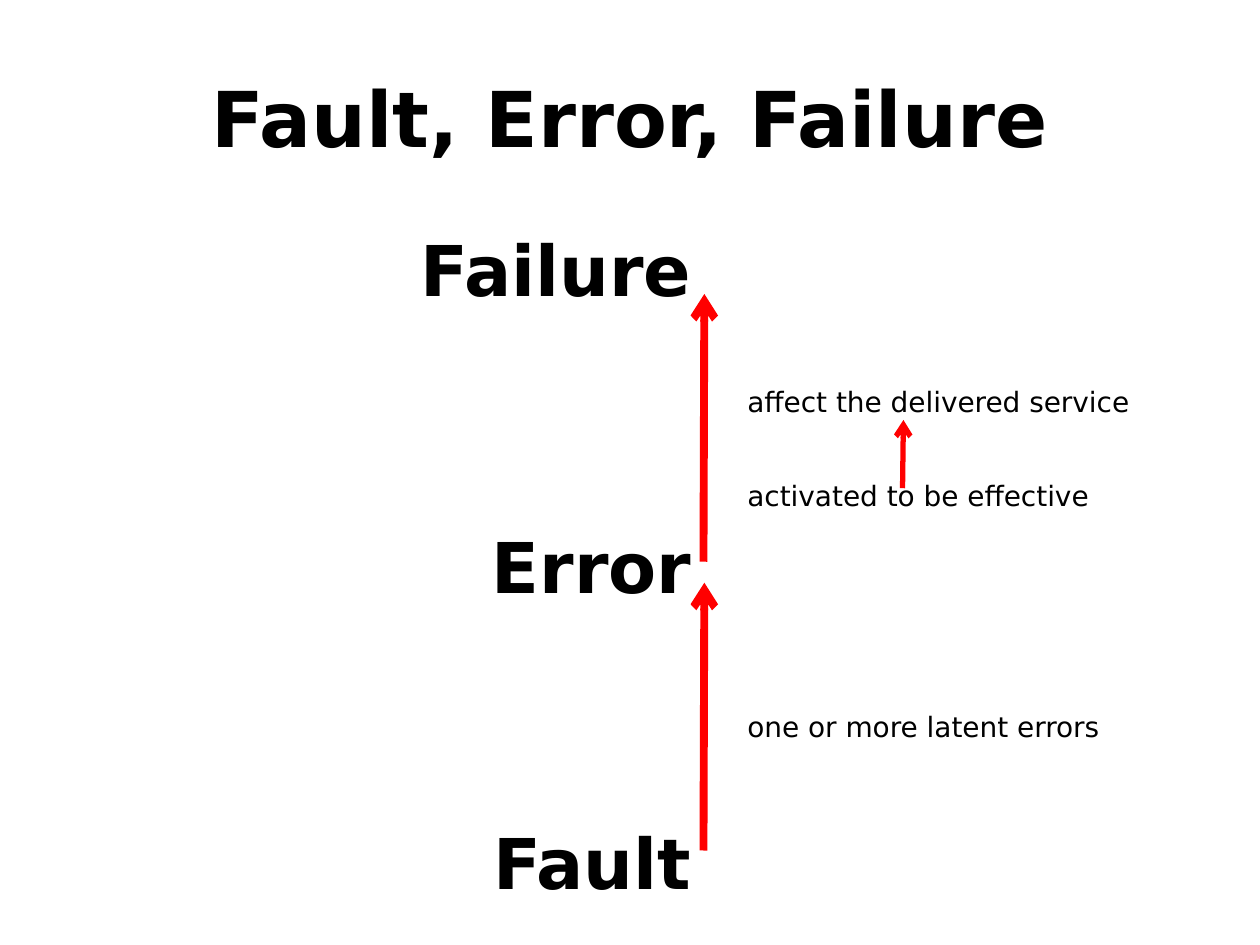
from typing import NamedTuple

from lxml.etree import SubElement
from pptx import Presentation
from pptx.dml.color import RGBColor
from pptx.enum.shapes import MSO_CONNECTOR as Connector
from pptx.enum.text import MSO_ANCHOR as Anchor, PP_ALIGN as Align
from pptx.oxml.ns import qn
from pptx.slide import Slide
from pptx.util import Pt

BLACK = RGBColor(0x00, 0x00, 0x00)
RED = RGBColor(0xFF, 0x00, 0x00)
FONT = "DejaVu Sans"
NOTE_LEFT = 420
STAGE_GAP = 121.4


class Label(NamedTuple):
    lines: tuple[str, ...]
    left: float
    top: float
    width: float
    height: float
    size: float
    bold: bool = False
    align: Align = Align.LEFT
    anchor: Anchor = Anchor.TOP
    wrap: bool = True
    gap: float = 0


class Arrow(NamedTuple):
    x: float
    bottom: float
    top: float
    weight: float


def note(text: str, top: float, width: float) -> Label:
    return Label((text,), NOTE_LEFT, top, width, 26.6, 16, wrap=False)


LABELS = (
    Label(("Fault, Error, Failure",), 0, 21.6, 720, 90, 44, True,
          Align.CENTER, Anchor.MIDDLE),
    Label(("Failure", "Error", "Fault"), 174, 126, 228, 414, 40, True,
          Align.RIGHT, gap=STAGE_GAP),
    note("one or more latent errors", 402, 221),
    note("activated to be effective", 270, 210),
    note("affect the delivered service", 216, 235),
)

ARROWS = (
    Arrow(402, 486, 333, 4.5),
    Arrow(402, 321, 168, 4.5),
    Arrow(515.75, 279, 240, 3),
)


def draw_label(slide: Slide, label: Label) -> None:
    box = slide.shapes.add_textbox(
        Pt(label.left), Pt(label.top), Pt(label.width), Pt(label.height))
    frame = box.text_frame
    frame.word_wrap = label.wrap
    frame.vertical_anchor = label.anchor
    for index, line in enumerate(label.lines):
        paragraph = frame.add_paragraph() if index else frame.paragraphs[0]
        paragraph.alignment = label.align
        if index:
            paragraph.space_before = Pt(label.gap)
        run = paragraph.add_run()
        run.text = line
        run.font.name = FONT
        run.font.size = Pt(label.size)
        run.font.bold = label.bold
        run.font.color.rgb = BLACK


def draw_arrow(slide: Slide, arrow: Arrow) -> None:
    connector = slide.shapes.add_connector(
        Connector.STRAIGHT, Pt(arrow.x), Pt(arrow.bottom),
        Pt(arrow.x + 0.5), Pt(arrow.top))
    connector.line.color.rgb = RED
    connector.line.width = Pt(arrow.weight)
    SubElement(connector.line._get_or_add_ln(), qn("a:tailEnd"), type="arrow")
    SubElement(connector._element.spPr, qn("a:effectLst"))


def main() -> None:
    deck = Presentation()
    deck.slide_width = Pt(720)
    deck.slide_height = Pt(540)
    slide = deck.slides.add_slide(deck.slide_layouts[6])
    for label in LABELS:
        draw_label(slide, label)
    for arrow in ARROWS:
        draw_arrow(slide, arrow)
    deck.save("out.pptx")


if __name__ == "__main__":
    main()
